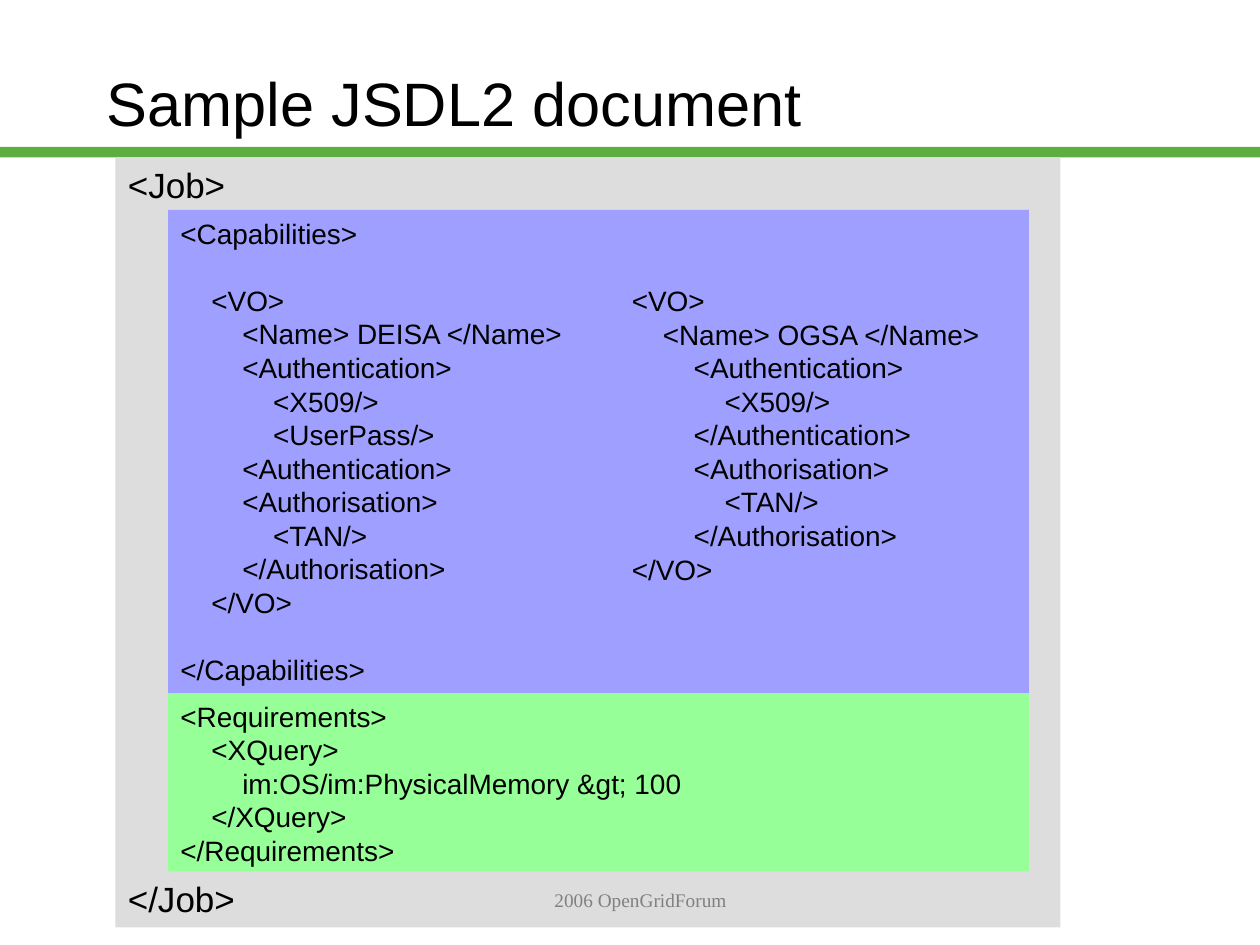
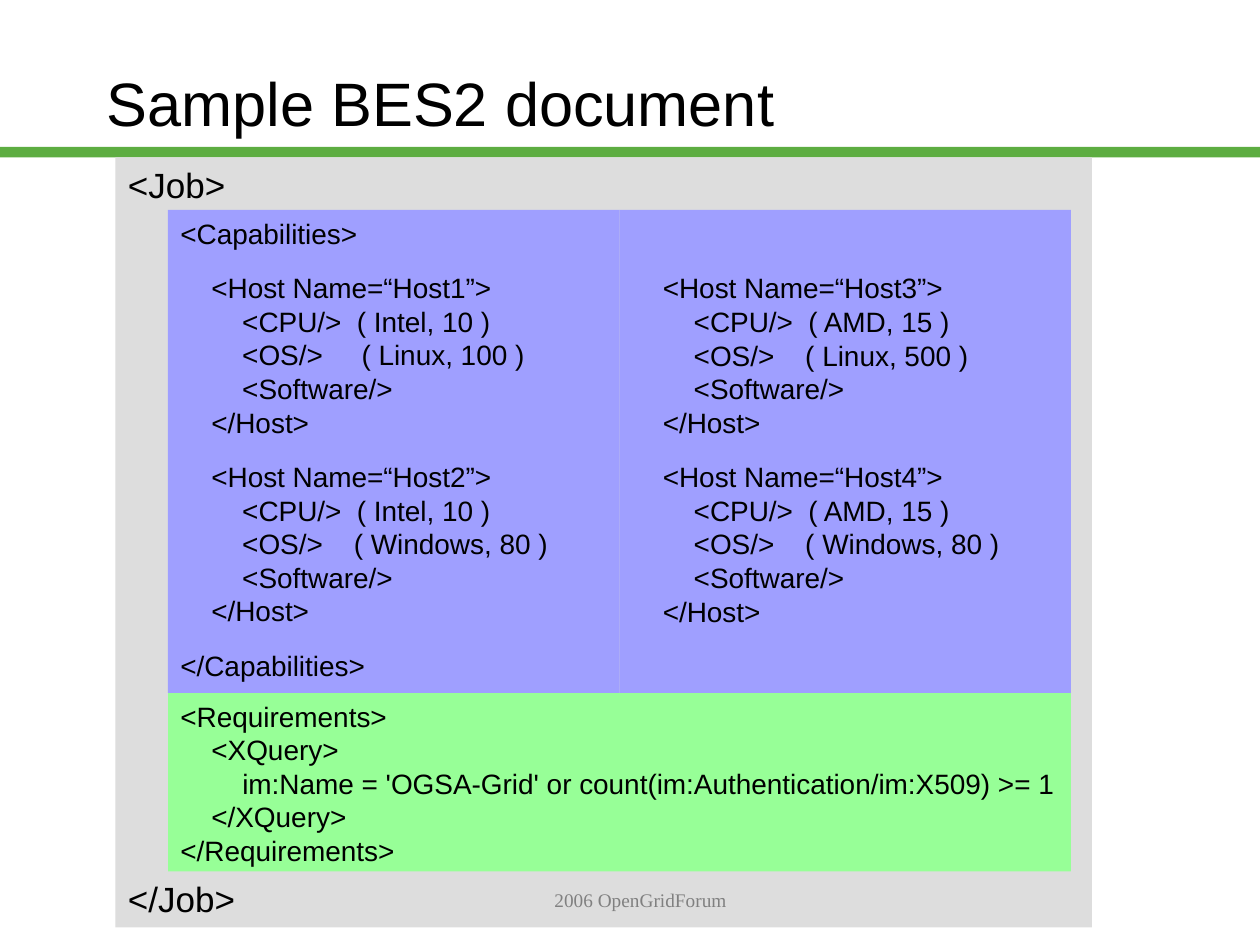
from dataclasses import dataclass

from pptx import Presentation
from pptx.dml.color import RGBColor as RGB
from pptx.enum.shapes import MSO_SHAPE as SHAPE
from pptx.enum.text import MSO_ANCHOR as ANCHOR, PP_ALIGN as ALIGN
from pptx.util import Pt


@dataclass(frozen=True)
class Theme:
    font: str = "Arial"
    footer_font: str = "Times New Roman"
    ink: str = "000000"
    muted: str = "808080"
    band: str = "5DAD41"
    job: str = "DDDDDD"
    capabilities: str = "9F9FFF"
    requirements: str = "97FF97"
    title_size: int = 35
    job_size: int = 20
    code_size: int = 16
    gap_size: int = 10
    footer_size: int = 11
    leading: float = 1.2


# Shared geometry in points
WIDTH, HEIGHT = 720, 540
JOB_LEFT, JOB_TOP, JOB_HEIGHT = 66, 90, 440
INNER_LEFT, CAP_TOP, CAP_HEIGHT = 96, 120, 276
REQ_TOP, REQ_HEIGHT = CAP_TOP + CAP_HEIGHT, 102
RIGHT_LEFT = 354
INSET_X, INSET_Y = 7.2, 3.6
JOB_BLANK_LINES = 16


class Deck:
    def __init__(self, theme):
        self.theme = theme
        self.prs = Presentation()
        self.prs.slide_width, self.prs.slide_height = Pt(WIDTH), Pt(HEIGHT)
        self.s = None

    def add_slide(self, title):
        t = self.theme
        self.s = self.prs.slides.add_slide(self.prs.slide_layouts[6])
        self.box((0, 84, WIDTH, 6), t.band)
        sp = self.box((54, 13.5, 612, 90))
        sp.text_frame.vertical_anchor = ANCHOR.MIDDLE
        self.set_lines(sp, [title], t.title_size)

    def box(self, at, fill=None):
        """Add a filled rectangle, or a text box when there is no fill."""
        at = [Pt(v) for v in at]
        if fill is None:
            sp = self.s.shapes.add_textbox(*at)
        else:
            sp = self.s.shapes.add_shape(SHAPE.RECTANGLE, *at)
            sp.shadow.inherit = False
            sp.fill.solid()
            sp.fill.fore_color.rgb = RGB.from_string(fill)
            sp.line.fill.background()
        tf = sp.text_frame
        tf.word_wrap = True
        tf.vertical_anchor = ANCHOR.TOP
        tf.margin_left = tf.margin_right = Pt(INSET_X)
        tf.margin_top = tf.margin_bottom = Pt(INSET_Y)
        return sp

    def style(self, p, size, font, color, align=ALIGN.LEFT):
        p.alignment = align
        for r in p.runs:
            r.font.size, r.font.name = Pt(size), font
            r.font.color.rgb = RGB.from_string(color)

    def set_lines(self, sp, blocks, size, gap=0, lead=0):
        """Set blocks of lines, gap points apart and lead points down."""
        t, tf = self.theme, sp.text_frame
        tf.margin_top = Pt(INSET_Y + lead)
        tf.text = "\n".join(blocks)
        starts, count = set(), 0
        for block in blocks[:-1]:
            count += len(block.split("\n"))
            starts.add(count)
        for i, p in enumerate(tf.paragraphs):
            p.line_spacing = Pt(size * t.leading)
            p.space_before = Pt(gap if i in starts else 0)
            self.style(p, size, t.font, t.ink)

    def job(self, width):
        t = self.theme
        sp = self.box((JOB_LEFT, JOB_TOP, width, JOB_HEIGHT), t.job)
        self.set_lines(sp, ["<Job>", "</Job>"], t.job_size,
                       gap=JOB_BLANK_LINES * t.job_size * t.leading)

    def capabilities(self, left, width, blocks, gap, lead=0, filled=True):
        t = self.theme
        sp = self.box((left, CAP_TOP, width, CAP_HEIGHT),
                      t.capabilities if filled else None)
        self.set_lines(sp, blocks, t.code_size, gap, lead)

    def requirements(self, width, query):
        t = self.theme
        sp = self.box((INNER_LEFT, REQ_TOP, width, REQ_HEIGHT), t.requirements)
        self.set_lines(sp, ["<Requirements>", "    <XQuery>",
                            f"        {query}", "    </XQuery>",
                            "</Requirements>"], t.code_size)

    def footer(self):
        t = self.theme
        sp = self.box((156, 504, 420, 36))
        sp.text_frame.text = "2006 OpenGridForum"
        self.style(sp.text_frame.paragraphs[0], t.footer_size,
                   t.footer_font, t.muted, ALIGN.CENTER)


DEISA_VO = """\
    <VO>
        <Name> DEISA </Name>
        <Authentication>
            <X509/>
            <UserPass/>
        <Authentication>
        <Authorisation>
            <TAN/>
        </Authorisation>
    </VO>"""

OGSA_VO = """\
<VO>
    <Name> OGSA </Name>
        <Authentication>
            <X509/>
        </Authentication>
        <Authorisation>
            <TAN/>
        </Authorisation>
</VO>"""

HOST = """\
    <Host Name=“{}”>
        <CPU/>  ( {} )
        <OS/>    {}
        <Software/>
    </Host>"""


def main():
    theme = Theme()
    deck = Deck(theme)
    line = theme.code_size * theme.leading
    half_line = theme.gap_size * theme.leading

    # JSDL2 sample: two virtual organisations
    deck.add_slide("Sample JSDL2 document")
    deck.job(540)
    deck.requirements(492, "im:OS/im:PhysicalMemory &gt; 100")
    deck.capabilities(INNER_LEFT, 492,
                      ["<Capabilities>", DEISA_VO, "</Capabilities>"], line)
    deck.capabilities(RIGHT_LEFT, 216, [OGSA_VO], line, lead=2 * line,
                      filled=False)
    deck.footer()

    # BES2 sample: four hosts in two columns
    deck.add_slide("Sample BES2 document")
    deck.job(558)
    deck.requirements(
        516, "im:Name = 'OGSA-Grid' or count(im:Authentication/im:X509) >= 1")
    left_hosts = [HOST.format("Host1", "Intel, 10", " ( Linux, 100 )"),
                  HOST.format("Host2", "Intel, 10", "( Windows, 80 )")]
    right_hosts = [HOST.format("Host3", "AMD, 15", "( Linux, 500 )"),
                   HOST.format("Host4", "AMD, 15", "( Windows, 80 )")]
    deck.capabilities(INNER_LEFT, 258,
                      ["<Capabilities>", *left_hosts, "</Capabilities>"],
                      half_line)
    deck.capabilities(RIGHT_LEFT, 258, right_hosts, half_line,
                      lead=line + half_line)
    deck.footer()

    deck.prs.save("out.pptx")


if __name__ == "__main__":
    main()
